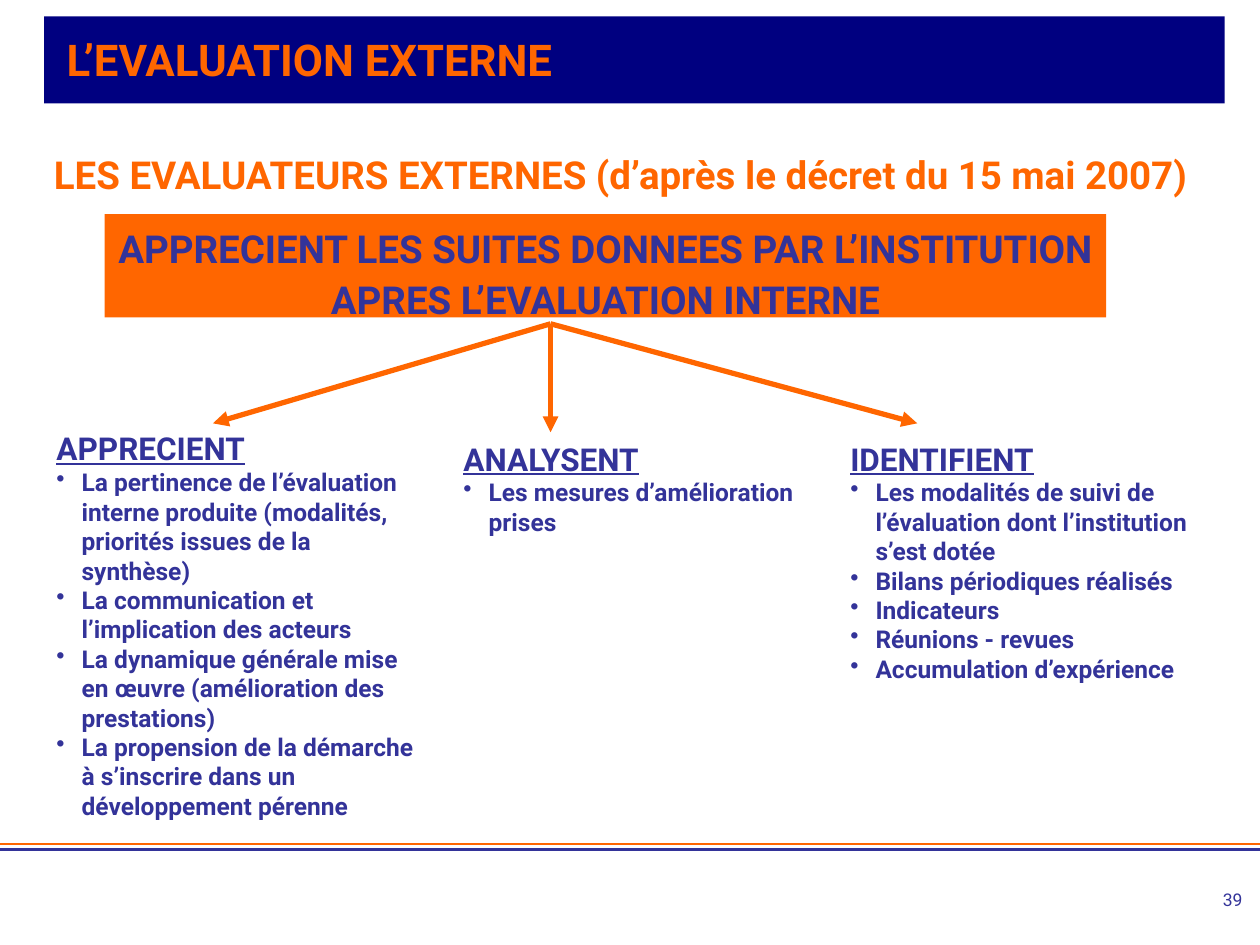
from lxml.etree import SubElement
from pptx import Presentation
from pptx.dml.color import RGBColor
from pptx.enum.shapes import MSO_CONNECTOR, MSO_SHAPE
from pptx.enum.text import MSO_ANCHOR, PP_ALIGN
from pptx.oxml.ns import qn
from pptx.util import Inches, Pt

NAVY = RGBColor(0x00, 0x00, 0x80)
INDIGO = RGBColor(0x33, 0x33, 0x99)
ORANGE = RGBColor(0xFF, 0x66, 0x00)
FONT = "Roboto"

COLUMNS = [
    (0.35, 3.36, 3.07, 3.9, "APPRECIENT", [
        "La pertinence de l’évaluation interne produite (modalités, priorités issues de la synthèse)",
        "La communication et l’implication des acteurs",
        "La dynamique générale mise en œuvre (amélioration des prestations)",
        "La propension de la démarche à s’inscrire dans un développement pérenne",
    ]),
    (3.58, 3.44, 2.91, 0.87, "ANALYSENT", ["Les mesures d’amélioration prises"]),
    (6.65, 3.44, 3.15, 2.04, "IDENTIFIENT", [
        "Les modalités de suivi de l’évaluation dont l’institution s’est dotée",
        "Bilans périodiques réalisés",
        "Indicateurs",
        "Réunions - revues",
        "Accumulation d’expérience",
    ]),
]
ARROW_START = (4.37, 2.57)
ARROW_ENDS = [(1.69, 3.36), (7.28, 3.36), (4.37, 3.43)]


def write(paragraph, text, *, size, color=INDIGO, bold=True, underline=False,
          align=PP_ALIGN.LEFT, spacing=None, bullet=False):
    if bullet:
        properties = paragraph._p.get_or_add_pPr()
        properties.set("marL", str(Inches(0.2)))
        properties.set("indent", str(Inches(-0.2)))
        SubElement(properties, qn("a:buChar")).set("char", "•")
    paragraph.alignment = align
    if spacing:
        paragraph.line_spacing = spacing
    run = paragraph.add_run()
    run.text = text
    font = run.font
    font.name, font.size, font.bold = FONT, Pt(size), bold
    font.underline = underline
    font.color.rgb = color


class SlideBuilder:
    def __init__(self, slide):
        self.slide = slide

    def rectangle(self, left, top, width, height, color):
        shape = self.slide.shapes.add_shape(
            MSO_SHAPE.RECTANGLE, Inches(left), Inches(top), Inches(width), Inches(height))
        shape.shadow.inherit = False
        shape.fill.solid()
        shape.fill.fore_color.rgb = color
        shape.line.fill.background()
        frame = shape.text_frame
        frame.word_wrap = True
        frame.vertical_anchor = MSO_ANCHOR.TOP
        return frame

    def text_box(self, left, top, width, height, wrap=True):
        box = self.slide.shapes.add_textbox(
            Inches(left), Inches(top), Inches(width), Inches(height))
        box.text_frame.word_wrap = wrap
        return box.text_frame

    def label(self, left, top, width, height, text, wrap=True, **style):
        frame = self.text_box(left, top, width, height, wrap)
        write(frame.paragraphs[0], text, **style)

    def column(self, left, top, width, height, heading, items):
        frame = self.text_box(left, top, width, height)
        write(frame.paragraphs[0], heading, size=18, underline=True)
        for item in items:
            write(frame.add_paragraph(), item, size=14, bullet=True)

    def line(self, start, end, color, width, arrow=False):
        connector = self.slide.shapes.add_connector(
            MSO_CONNECTOR.STRAIGHT, *(Inches(value) for value in (*start, *end)))
        connector.line.color.rgb = color
        connector.line.width = Pt(width)
        if arrow:
            SubElement(connector.line._get_or_add_ln(), qn("a:tailEnd")).set("type", "triangle")
        SubElement(connector._element.spPr, qn("a:effectLst"))


def main():
    presentation = Presentation()
    presentation.slide_width, presentation.slide_height = Inches(10), Inches(7.5)
    builder = SlideBuilder(presentation.slides.add_slide(presentation.slide_layouts[6]))

    # Title band and footer rules
    builder.rectangle(0.35, 0.13, 9.37, 0.69, NAVY)
    builder.line((0, 6.7), (10, 6.7), ORANGE, 1)
    builder.line((0, 6.74), (10, 6.74), INDIGO, 1.5)
    builder.label(0.43, 0.21, 8.9, 0.52, "L’EVALUATION EXTERNE", size=25, color=ORANGE)

    # Subject and its main statement
    statement = builder.rectangle(0.83, 1.7, 7.95, 0.82, ORANGE)
    write(statement.paragraphs[0],
          "APPRECIENT LES SUITES DONNEES PAR L’INSTITUTION APRES L’EVALUATION INTERNE",
          size=22, align=PP_ALIGN.CENTER, spacing=1.1)
    builder.label(0.33, 1.15, 9.66, 0.47,
                  "LES EVALUATEURS EXTERNES (d’après le décret du 15 mai 2007)",
                  wrap=False, size=22, color=ORANGE)

    # Three columns and the arrows leading to them
    for column in COLUMNS:
        builder.column(*column)
    for end in ARROW_ENDS:
        builder.line(ARROW_START, end, ORANGE, 3, arrow=True)

    # Page number
    builder.label(7.63, 7.01, 2.33, 0.52, "39", size=10, bold=False, align=PP_ALIGN.RIGHT)

    presentation.save("out.pptx")


if __name__ == "__main__":
    main()
